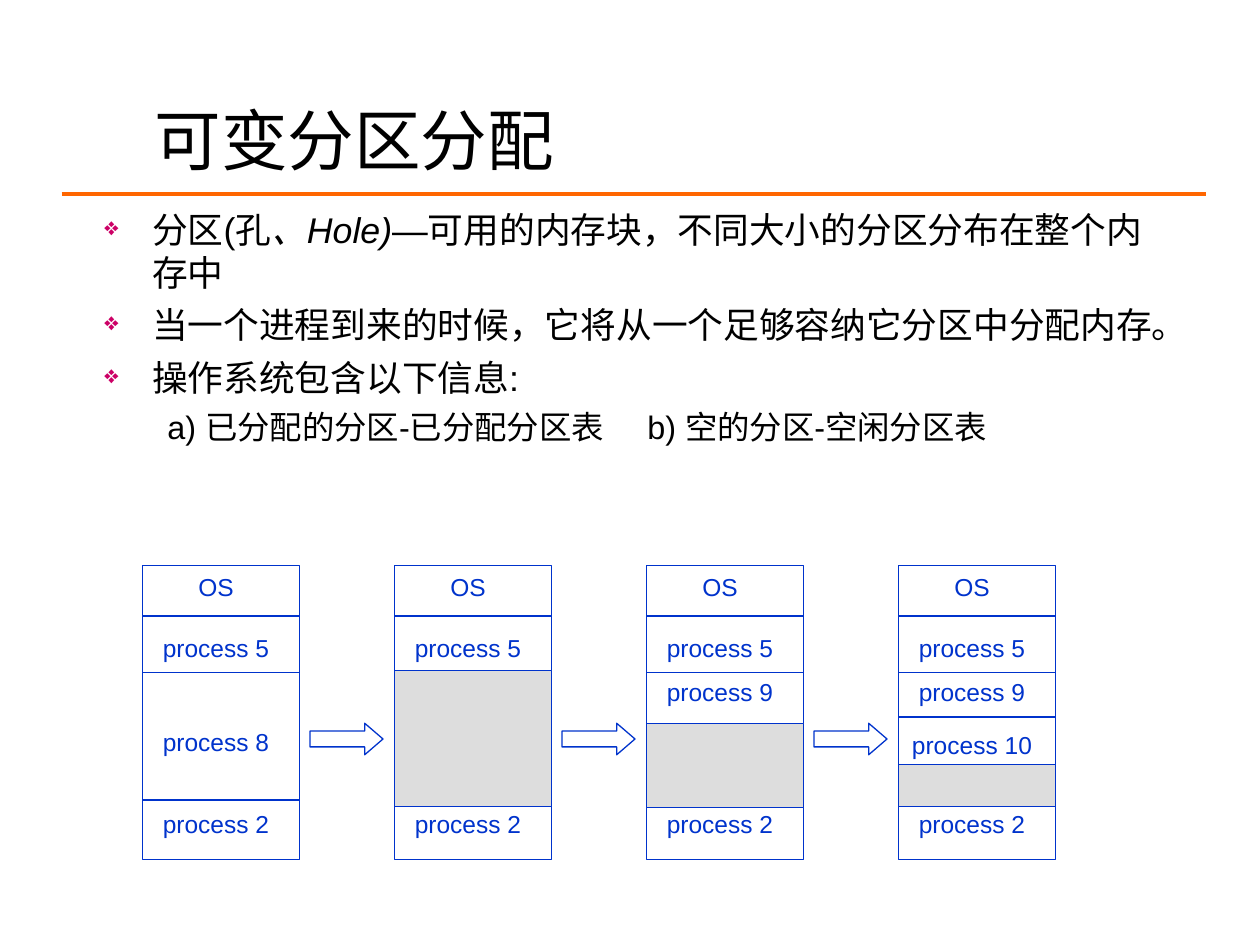
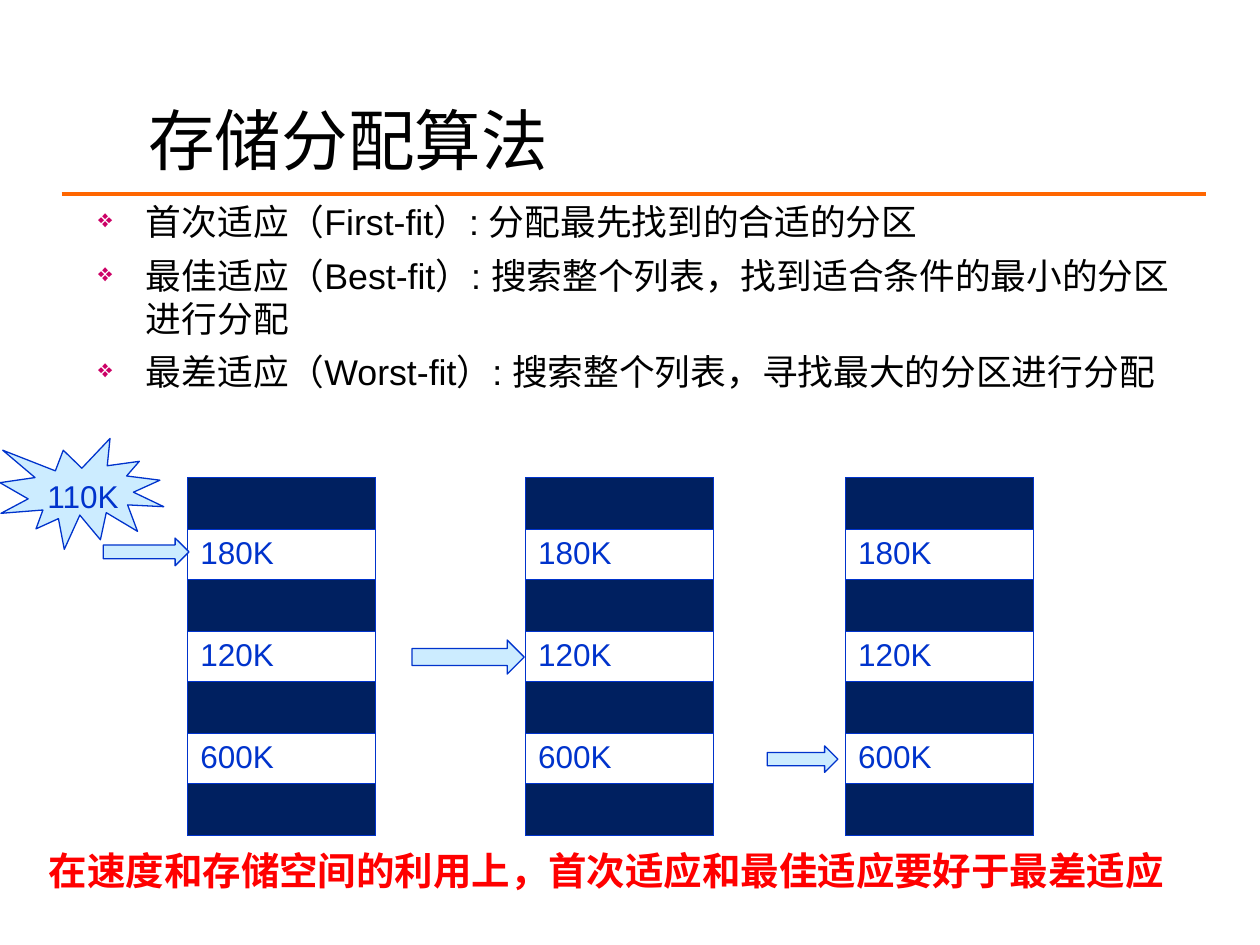
from lxml.etree import SubElement
from pptx import Presentation
from pptx.dml.color import RGBColor
from pptx.enum.shapes import MSO_CONNECTOR, MSO_SHAPE
from pptx.enum.text import MSO_ANCHOR, PP_ALIGN
from pptx.oxml.ns import qn
from pptx.util import Inches, Pt

FONT = "Arial"
HEX = {"ink": "000000", "blue": "0033CC", "rule": "FF6600", "mark": "CC0066",
       "hole": "DDDDDD", "pale": "CCECFF", "navy": "002060", "red": "FF0000",
       "white": "FFFFFF"}

# Slide 1: partitions over time
PARTS = {
    "title": "可变分区分配",
    "points": [
        [("分区(孔", False), ("、Hole)", True),
         ("—可用的内存块，不同大小的分区分布在整个内存中", False)],
        [("当一个进程到来的时候，它将从一个足够容纳它分区中分配内存。", False)],
        [("操作系统包含以下信息:", False)],
    ],
    "tables": "a) 已分配的分区-已分配分区表\tb) 空的分区-空闲分区表",
}
LABEL_TOP = {"OS": 4.49, "process 5": 4.97, "process 9": 5.32,
             "process 8": 5.72, "process 10": 5.74, "process 2": 6.37}
COMMON = ["OS", "process 5", "process 2"]
STATES = [  # extra processes, hole (top, height), extra divider
    (["process 8"], None, None),
    ([], (5.32, 1.08), None),
    (["process 9"], (5.74, 0.67), None),
    (["process 9", "process 10"], (6.07, 0.33), 5.69),
]
DIVIDERS = [4.89, 5.34, 6.35]
MEM_LEFT, MEM_TOP, MEM_WIDE, MEM_HIGH, MEM_STEP = 1.13, 4.49, 1.25, 2.33, 2

# Slide 2: fitting methods
FITS = {
    "title": "存储分配算法",
    "points": [
        [("首次适应（First-fit）: 分配最先找到的合适的分区", False)],
        [("最佳适应（Best-fit）: 搜索整个列表，找到适合条件的最小的分区进行分配", False)],
        [("最差适应（Worst-fit）: 搜索整个列表，寻找最大的分区进行分配", False)],
    ],
    "verdict": "在速度和存储空间的利用上，首次适应和最佳适应要好于最差适应",
}
BLOCKS = [None, "180K", None, "120K", None, "600K", None]
CHOICES = [  # table left, arrow box
    (1.49, (0.82, 4.27, 0.68, 0.22)),
    (4.17, (3.27, 5.08, 0.89, 0.27)),
    (6.71, (6.09, 5.92, 0.56, 0.21)),
]


def color(name):
    return RGBColor.from_string(HEX[name])


def style(para, size, ink="ink", bold=False):
    font = para.font
    font.name, font.size, font.bold = FONT, Pt(size), bold
    font.color.rgb = color(ink)


def text_box(slide, box, anchor=MSO_ANCHOR.TOP):
    frame = slide.shapes.add_textbox(*map(Inches, box)).text_frame
    frame.word_wrap = True
    frame.vertical_anchor = anchor
    return frame


def write(slide, box, text, size, ink="ink", bold=False,
          align=PP_ALIGN.LEFT, anchor=MSO_ANCHOR.TOP):
    para = text_box(slide, box, anchor).paragraphs[0]
    para.text, para.alignment = text, align
    style(para, size, ink, bold)


def rule(slide, left, right, top, ink="blue", width=0.75):
    line = slide.shapes.add_connector(
        MSO_CONNECTOR.STRAIGHT, *map(Inches, (left, top, right, top)))
    line.line.color.rgb = color(ink)
    line.line.width = Pt(width)
    SubElement(line._element.spPr, qn("a:effectLst"))


def draw(slide, kind, box, fill):
    shape = slide.shapes.add_shape(kind, *map(Inches, box))
    shape.shadow.inherit = False
    shape.fill.solid()
    shape.fill.fore_color.rgb = color(fill)
    shape.line.color.rgb = color("blue")
    shape.line.width = Pt(0.75)
    return shape


def indent(para, left, first):
    props = para._p.get_or_add_pPr()
    props.set("marL", str(Inches(left)))
    props.set("indent", str(Inches(first)))
    return props


def add_points(slide, box, points, gap):
    frame = text_box(slide, box)
    for i, runs in enumerate(points):
        para = frame.add_paragraph() if i else frame.paragraphs[0]
        props = indent(para, 0.38, -0.38)
        tint = SubElement(props, qn("a:buClr"))
        SubElement(tint, qn("a:srgbClr"), val=HEX["mark"])
        SubElement(props, qn("a:buSzPct"), val="70000")
        SubElement(props, qn("a:buChar"), char="❖")
        if i:
            para.space_before = Pt(gap)
        style(para, 20.4)
        for text, slant in runs:
            run = para.add_run()
            run.text = text
            if slant:
                run.font.italic = True
    return frame


def start(deck, title, box):
    """Add a slide with its title and the orange rule."""
    slide = deck.slides.add_slide(deck.slide_layouts[6])
    rule(slide, 0.49, 9.57, 1.54, "rule", 2.25)
    write(slide, box, title, 38)
    return slide


def add_memory(slide, left, extra, hole, split):
    draw(slide, MSO_SHAPE.RECTANGLE, (left, MEM_TOP, MEM_WIDE, MEM_HIGH), "white")
    for top in DIVIDERS + ([split] if split else []):
        rule(slide, left, left + MEM_WIDE, top)
    if hole:
        top, high = hole
        draw(slide, MSO_SHAPE.RECTANGLE, (left, top, MEM_WIDE, high), "hole")
    for name in COMMON + extra:
        write(slide, (left, LABEL_TOP[name], 1.17, 0.34), name, 14, "blue",
              align=PP_ALIGN.CENTER, anchor=MSO_ANCHOR.MIDDLE)


def edge(cell):
    props = cell._tc.get_or_add_tcPr()
    for i, side in enumerate(("lnL", "lnR", "lnT", "lnB")):
        line = props.makeelement(qn("a:" + side), {"w": str(Pt(0.45))})
        fill = SubElement(line, qn("a:solidFill"))
        SubElement(fill, qn("a:srgbClr"), val=HEX["blue"])
        props.insert(i, line)


def add_blocks(slide, left):
    box = map(Inches, (left, 3.79, 1.49, 2.84))
    table = slide.shapes.add_table(len(BLOCKS), 1, *box).table
    table.first_row = table.horz_banding = False
    for i, size in enumerate(BLOCKS):
        table.rows[i].height = Inches(0.4 if size else 0.41)
        cell = table.cell(i, 0)
        if size:
            cell.fill.background()
            cell.text = size
        else:
            cell.fill.solid()
            cell.fill.fore_color.rgb = color("navy")
        style(cell.text_frame.paragraphs[0], 18, "blue")
        edge(cell)


def add_parts(deck):
    slide = start(deck, PARTS["title"], (1.13, 0.74, 6.93, 0.93))
    frame = add_points(slide, (0.73, 1.6, 8.66, 2.28), PARTS["points"], 5.5)
    para = frame.add_paragraph()
    para.text = PARTS["tables"]
    props = indent(para, 0.81, -0.31)
    para.space_before = Pt(5)
    tabs = SubElement(props, qn("a:tabLst"))
    SubElement(tabs, qn("a:tab"), pos=str(Inches(4.38)), algn="l")
    style(para, 18.5)
    for i, state in enumerate(STATES):
        left = MEM_LEFT + i * MEM_STEP
        add_memory(slide, left, *state)
        if i:
            arrow = draw(slide, MSO_SHAPE.RIGHT_ARROW,
                         (left - 0.67, 5.74, 0.58, 0.25), "white")
            arrow.adjustments[1] = 0.58


def add_fits(deck):
    slide = start(deck, FITS["title"], (1.08, 0.74, 7.39, 0.27))
    add_points(slide, (0.68, 1.54, 8.77, 1.94), FITS["points"], 6)
    write(slide, (0.29, 6.67, 9.35, 0.47), FITS["verdict"], 22, "red", True,
          anchor=MSO_ANCHOR.MIDDLE)
    for left, arrow in CHOICES:
        add_blocks(slide, left)
        draw(slide, MSO_SHAPE.RIGHT_ARROW, arrow, "pale")
    burst = draw(slide, MSO_SHAPE.EXPLOSION1, (0, 3.48, 1.3, 0.88), "pale")
    frame = burst.text_frame
    frame.word_wrap = False
    frame.vertical_anchor = MSO_ANCHOR.TOP
    para = frame.paragraphs[0]
    para.text, para.alignment = "110K", PP_ALIGN.LEFT
    style(para, 18, "blue")


def main():
    deck = Presentation()
    deck.slide_width, deck.slide_height = Inches(10), Inches(7.5)
    add_parts(deck)
    add_fits(deck)
    deck.save("out.pptx")


if __name__ == "__main__":
    main()
